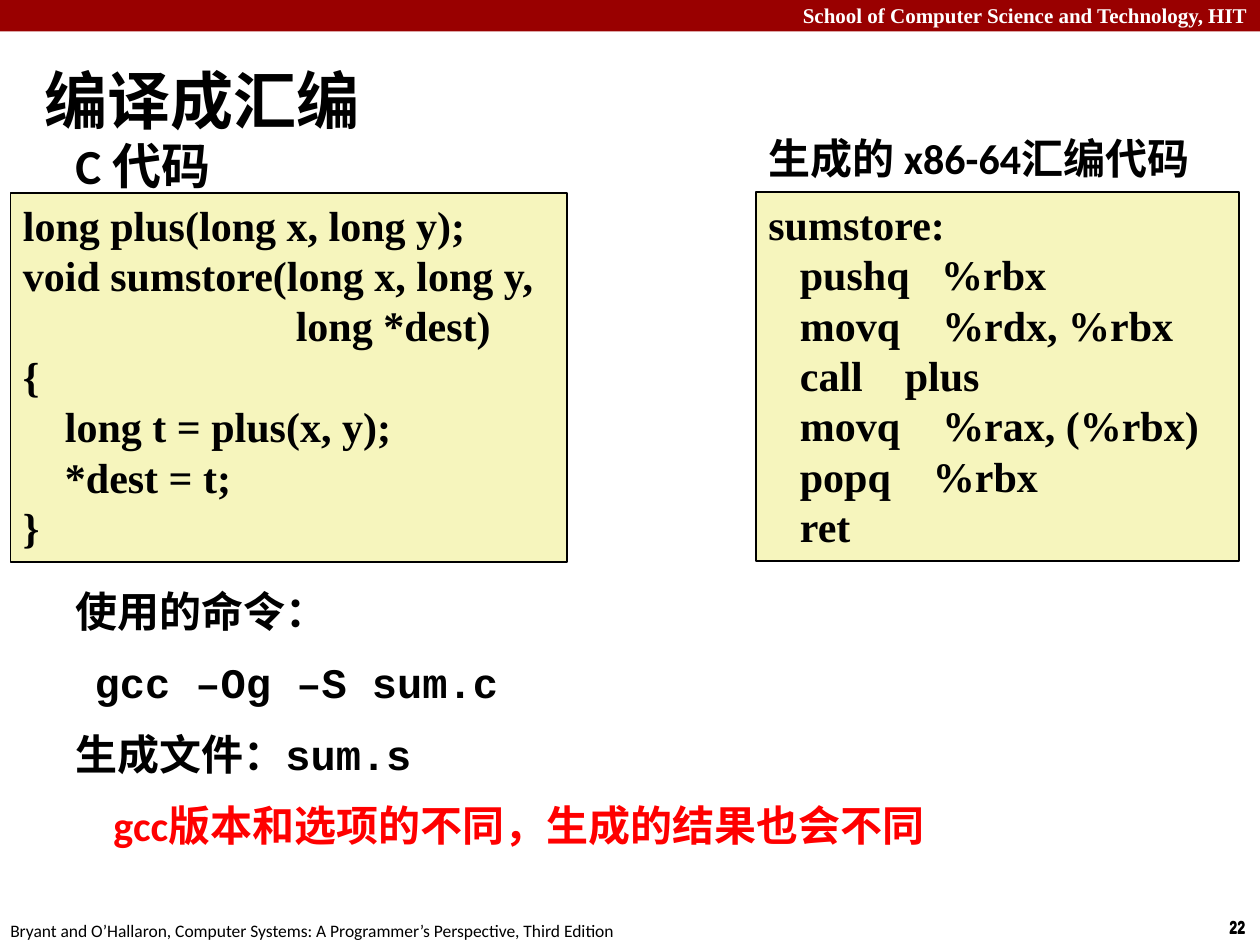
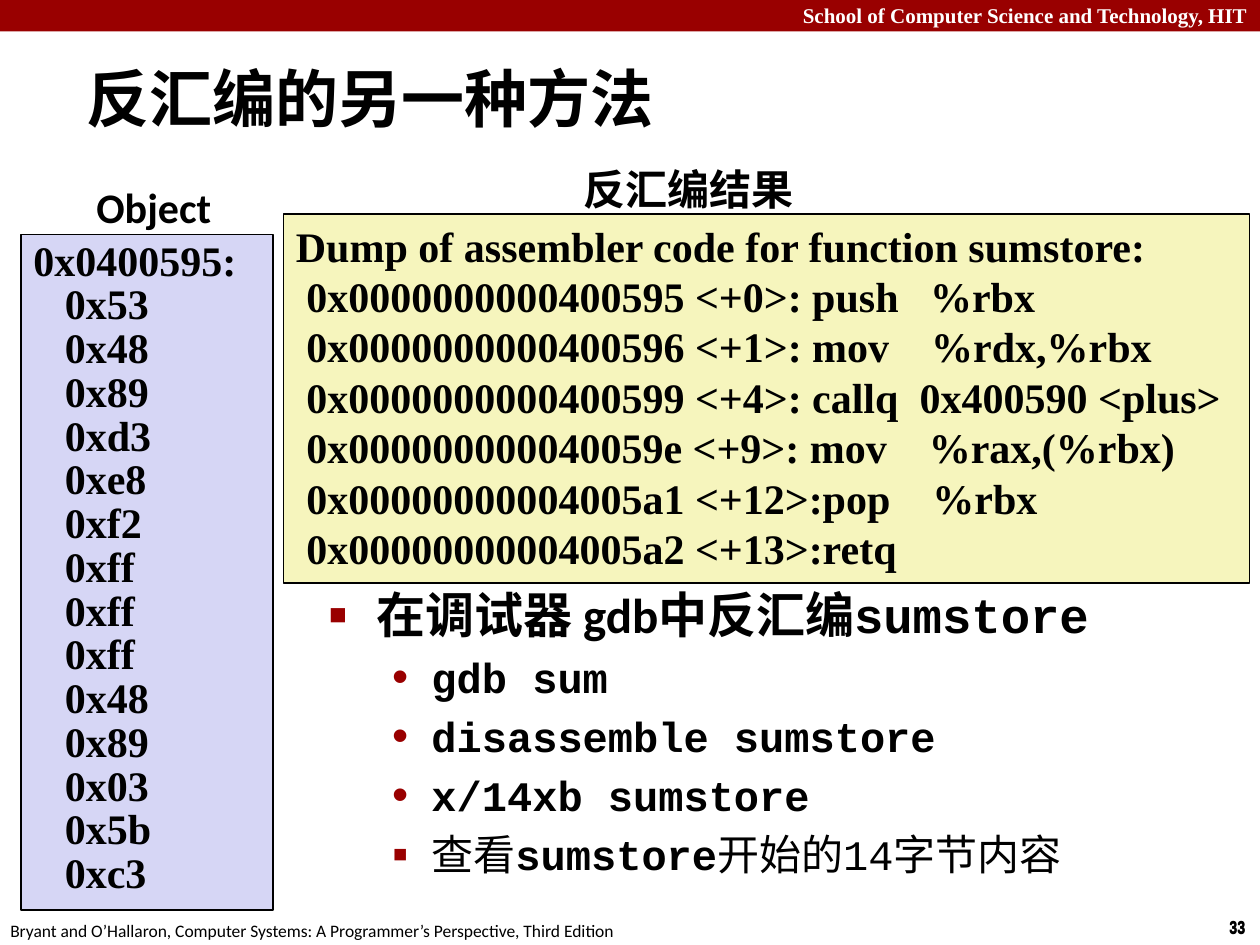
from dataclasses import dataclass
from typing import Optional

from lxml import etree
from pptx import Presentation
from pptx.dml.color import RGBColor
from pptx.enum.shapes import MSO_SHAPE
from pptx.enum.text import MSO_ANCHOR, PP_ALIGN
from pptx.oxml.ns import qn
from pptx.util import Pt

RECTANGLE = MSO_SHAPE.RECTANGLE
MIDDLE, TOP = MSO_ANCHOR.MIDDLE, MSO_ANCHOR.TOP
LEFT, RIGHT = PP_ALIGN.LEFT, PP_ALIGN.RIGHT

BLACK = RGBColor(0x00, 0x00, 0x00)
WHITE = RGBColor(0xFF, 0xFF, 0xFF)
RED = RGBColor(0xFF, 0x00, 0x00)
CRIMSON = RGBColor(0x99, 0x00, 0x00)
CODE_YELLOW = RGBColor(0xF6, 0xF5, 0xBD)
BYTES_BLUE = RGBColor(0xD6, 0xD6, 0xF5)

SANS, SERIF = "Calibri", "Times New Roman"
MONO, NARROW = "Courier New", "Arial Narrow"

SLIDE_WIDTH, SLIDE_HEIGHT = 720, 540
CODE_COLUMN = 6  # width of one space in the code font
SCHOOL = "School of Computer Science and Technology, HIT"
BOOK = ("Bryant and O’Hallaron, Computer Systems: "
        "A Programmer’s Perspective, Third Edition")


@dataclass
class Box:
    left: float
    top: float
    width: float
    height: float

    def lengths(self) -> list:
        return [Pt(n) for n in (self.left, self.top, self.width, self.height)]


@dataclass
class Run:
    text: str
    size: float = 24
    name: str = SANS
    bold: bool = True
    color: RGBColor = BLACK
    spacing: float = 0


@dataclass
class Bullet:
    character: str
    percent: int


@dataclass
class Paragraph:
    runs: list[Run]
    before: float = 0
    margin: float = 0
    indent: float = 0
    level: int = 0
    align: PP_ALIGN = LEFT
    line_height: Optional[float] = None
    bullet: Optional[Bullet] = None


@dataclass
class CodeLine:
    """Indent and gap before the operand are counted in code columns."""
    text: str
    indent: int = 0
    operand: str = ""
    gap: int = 1

    def runs(self) -> list[Run]:
        runs = [Run(self.text, name=SERIF)]
        if self.operand:
            widening = (self.gap - 1) * CODE_COLUMN
            runs += [Run(" ", name=SERIF, spacing=widening),
                     Run(self.operand, name=SERIF)]
        return runs


# Text helpers
def add_bullet(properties, bullet: Bullet) -> None:
    color = etree.SubElement(properties, qn("a:buClr"))
    etree.SubElement(color, qn("a:srgbClr"), val=str(CRIMSON))
    etree.SubElement(properties, qn("a:buSzPct"), val=str(bullet.percent * 1000))
    etree.SubElement(properties, qn("a:buFont"), typeface="Arial")
    etree.SubElement(properties, qn("a:buChar"), char=bullet.character)


def write(text_frame, paragraphs: list[Paragraph], anchor=TOP, wrap=True) -> None:
    text_frame.word_wrap = wrap
    text_frame.vertical_anchor = anchor
    for number, item in enumerate(paragraphs):
        paragraph = text_frame.add_paragraph() if number else text_frame.paragraphs[0]
        formats = {"alignment": item.align, "level": item.level,
                   "space_before": Pt(item.before)}
        if item.line_height:
            formats["line_spacing"] = Pt(item.line_height)
        for attribute, value in formats.items():
            setattr(paragraph, attribute, value)
        properties = paragraph._p.get_or_add_pPr()
        properties.set("marL", str(Pt(item.margin)))
        properties.set("indent", str(Pt(item.indent)))
        if item.bullet:
            add_bullet(properties, item.bullet)
        for part in item.runs:
            run = paragraph.add_run()
            run.text = part.text
            font = {"size": Pt(part.size), "name": part.name, "bold": part.bold}
            for attribute, value in font.items():
                setattr(run.font, attribute, value)
            run.font.color.rgb = part.color
            if part.spacing:
                run._r.get_or_add_rPr().set("spc", str(part.spacing * 100))


def add_text(slide, box: Box, paragraphs: list[Paragraph],
             anchor=TOP, wrap=True) -> None:
    shape = slide.shapes.add_textbox(*box.lengths())
    write(shape.text_frame, paragraphs, anchor, wrap)


def add_rectangle(slide, box: Box, fill: RGBColor, outlined: bool = True):
    shape = slide.shapes.add_shape(RECTANGLE, *box.lengths())
    shape.shadow.inherit = False
    shape.fill.solid()
    shape.fill.fore_color.rgb = fill
    if outlined:
        shape.line.color.rgb = BLACK
        shape.line.width = Pt(1)
    else:
        shape.line.fill.background()
    return shape


# Parts used on both slides
def add_title(slide, box: Box, text: str) -> None:
    add_text(slide, box, [Paragraph([Run(text, 36)], margin=9.5, indent=-9.5)], MIDDLE)


def add_label(slide, box: Box, text: str) -> None:
    add_text(slide, box, [Paragraph([Run(text)], before=7.2, margin=17, indent=-17)])


def add_code(slide, box: Box, lines: list[CodeLine], fill: RGBColor = CODE_YELLOW,
             line_height: Optional[float] = None) -> None:
    shape = add_rectangle(slide, box, fill)
    write(shape.text_frame, [
        Paragraph(line.runs(), margin=line.indent * CODE_COLUMN, line_height=line_height)
        for line in lines])


def add_framed_slide(presentation, page: str):
    slide = presentation.slides.add_slide(presentation.slide_layouts[6])
    add_rectangle(slide, Box(0, 0, SLIDE_WIDTH, 18), CRIMSON, outlined=False)
    add_text(slide, Box(0, -2, SLIDE_WIDTH, 21.6),
             [Paragraph([Run(SCHOOL, 12, SERIF, color=WHITE)], align=RIGHT)])
    # The page number is struck twice, slightly offset
    for top in (520.5, 520):
        add_text(slide, Box(695.5, top, 24.5, 19.4),
                 [Paragraph([Run(page, 10, NARROW)])], wrap=False)
    add_text(slide, Box(-1.2, 522, 366, 19.4),
             [Paragraph([Run(BOOK, 10, bold=False)])], wrap=False)
    return slide


# Compiling into assembly
def build_compile_slide(presentation) -> None:
    slide = add_framed_slide(presentation, "22")
    add_title(slide, Box(18.6, 34.5, 539, 44), "编译成汇编")
    add_text(slide, Box(36, 74, 192, 29),
             [Paragraph([Run("C 代码", 28)], before=5.6, margin=27, indent=-27)])
    add_code(slide, Box(6, 110.3, 318, 211), [
        CodeLine("long plus(long x, long y);"),
        CodeLine("void sumstore(long x, long y,"),
        CodeLine("long *dest)", 26),
        CodeLine("{"),
        CodeLine("long t = plus(x, y);", 4),
        CodeLine("*dest = t;", 4),
        CodeLine("}"),
    ])
    add_label(slide, Box(432, 72, 276, 32), "生成的 x86-64汇编代码")
    add_code(slide, Box(432, 109.8, 276, 211), [
        CodeLine("sumstore:"),
        CodeLine("pushq", 3, "%rbx", 3),
        CodeLine("movq", 3, "%rdx, %rbx", 4),
        CodeLine("call", 3, "plus", 4),
        CodeLine("movq", 3, "%rax, (%rbx)", 4),
        CodeLine("popq", 3, "%rbx", 4),
        CodeLine("ret", 3),
    ])
    commands = [
        ([Run("使用的命令：")], 0),
        ([Run("gcc –Og –S sum.c", name=MONO)], 11),
        ([Run("生成文件："), Run("sum.s", name=MONO)], 0),
        ([Run("gcc版本和选项的不同，生成的结果也会不同", color=RED)], 21.7),
    ]
    add_text(slide, Box(36, 331, 588, 167),
             [Paragraph(runs, before=12, margin=margin) for runs, margin in commands])


# Disassembling in the debugger
def build_disassembly_slide(presentation) -> None:
    slide = add_framed_slide(presentation, "33")
    add_label(slide, Box(326.5, 90, 205, 32), "反汇编结果")
    add_code(slide, Box(162, 122.3, 552, 211), [
        CodeLine("Dump of assembler code for function sumstore:"),
        CodeLine("0x0000000000400595 <+0>: push", 1, "%rbx", 3),
        CodeLine("0x0000000000400596 <+1>: mov", 1, "%rdx,%rbx", 4),
        CodeLine("0x0000000000400599 <+4>: callq", 1, "0x400590 <plus>", 2),
        CodeLine("0x000000000040059e <+9>: mov", 1, "%rax,(%rbx)", 4),
        CodeLine("0x00000000004005a1 <+12>:pop", 1, "%rbx", 4),
        CodeLine("0x00000000004005a2 <+13>:retq", 1),
    ])
    add_title(slide, Box(42.5, 33, 492, 45), "反汇编的另一种方法")

    dot, square = Bullet("•", 110), Bullet("▪", 110)
    steps = [([Run(text, name=MONO)], dot)
             for text in ("gdb sum", "disassemble sumstore", "x/14xb sumstore")]
    steps.append(([Run("查看", bold=False), Run("sumstore", name=MONO),
                   Run("开始的14字节内容", name=MONO, bold=False)], square))
    heading = Paragraph([Run("在调试器 gdb中", 28), Run("反汇编sumstore", 28, MONO)],
                        before=5.6, margin=27, indent=-27, bullet=Bullet("■", 60))
    add_text(slide, Box(181, 330.5, 496, 177), [heading] + [
        Paragraph(runs, before=4.8, margin=58.5, indent=-22.5, level=1, bullet=bullet)
        for runs, bullet in steps])

    add_label(slide, Box(48, 100, 103, 32), "Object")
    object_bytes = "53 48 89 d3 e8 f2 ff ff ff 48 89 03 5b c3".split()
    add_code(slide, Box(12, 134, 144, 386),
             [CodeLine("0x0400595:")]
             + [CodeLine(f"0x{byte}", 3) for byte in object_bytes],
             BYTES_BLUE, line_height=25)


def main() -> None:
    presentation = Presentation()
    presentation.slide_width = Pt(SLIDE_WIDTH)
    presentation.slide_height = Pt(SLIDE_HEIGHT)
    build_compile_slide(presentation)
    build_disassembly_slide(presentation)
    presentation.save("out.pptx")


if __name__ == "__main__":
    main()
